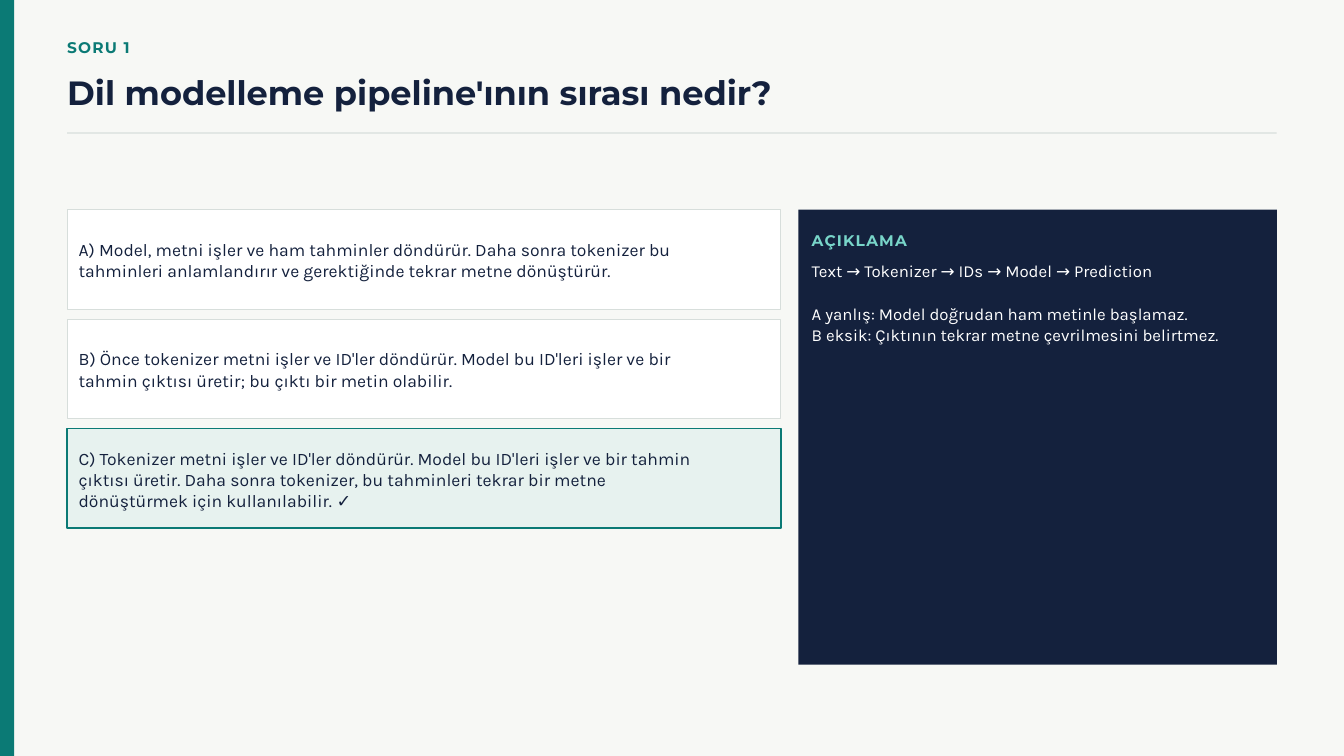
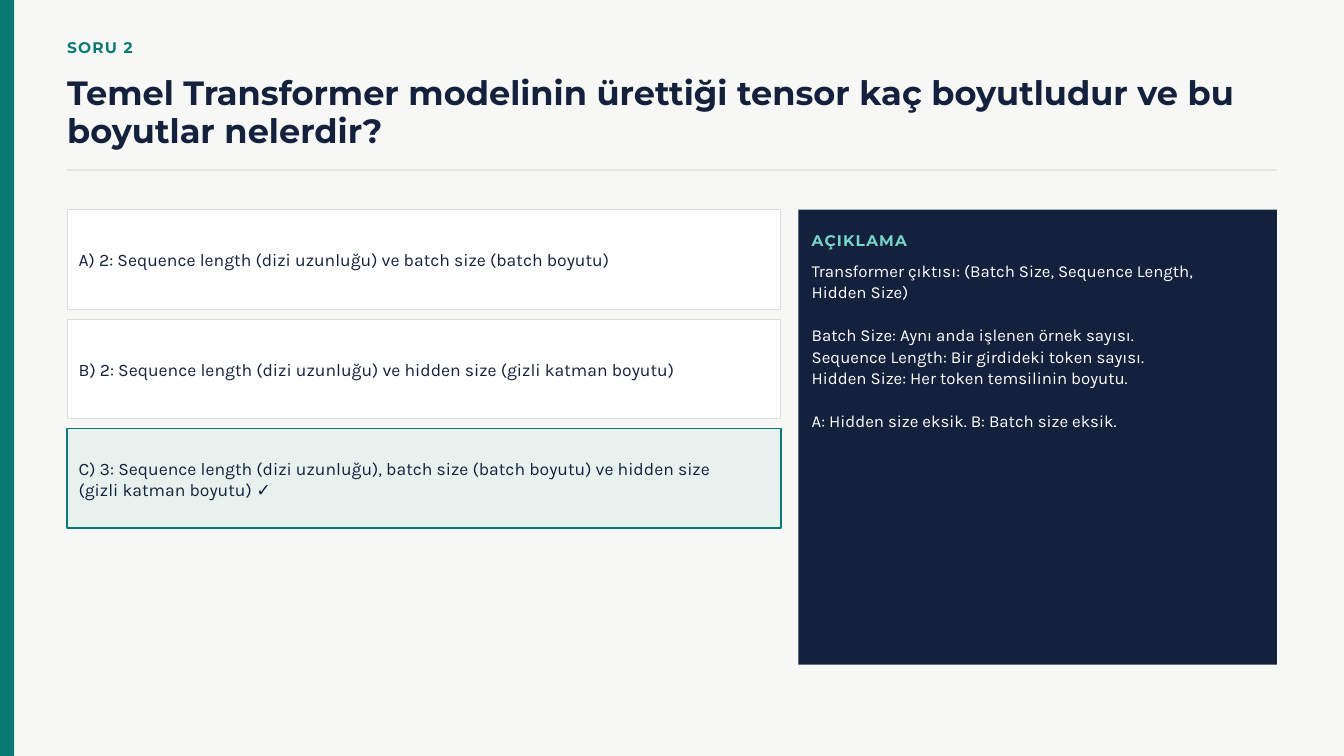
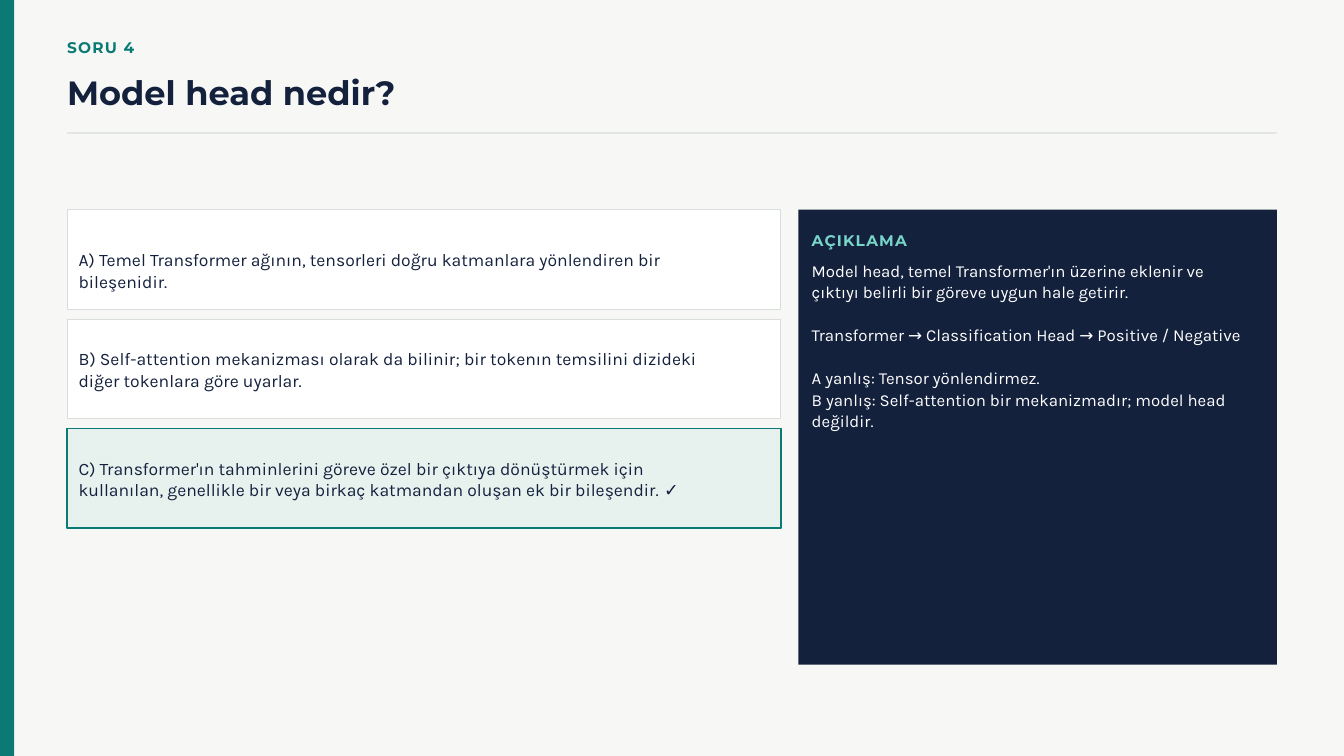
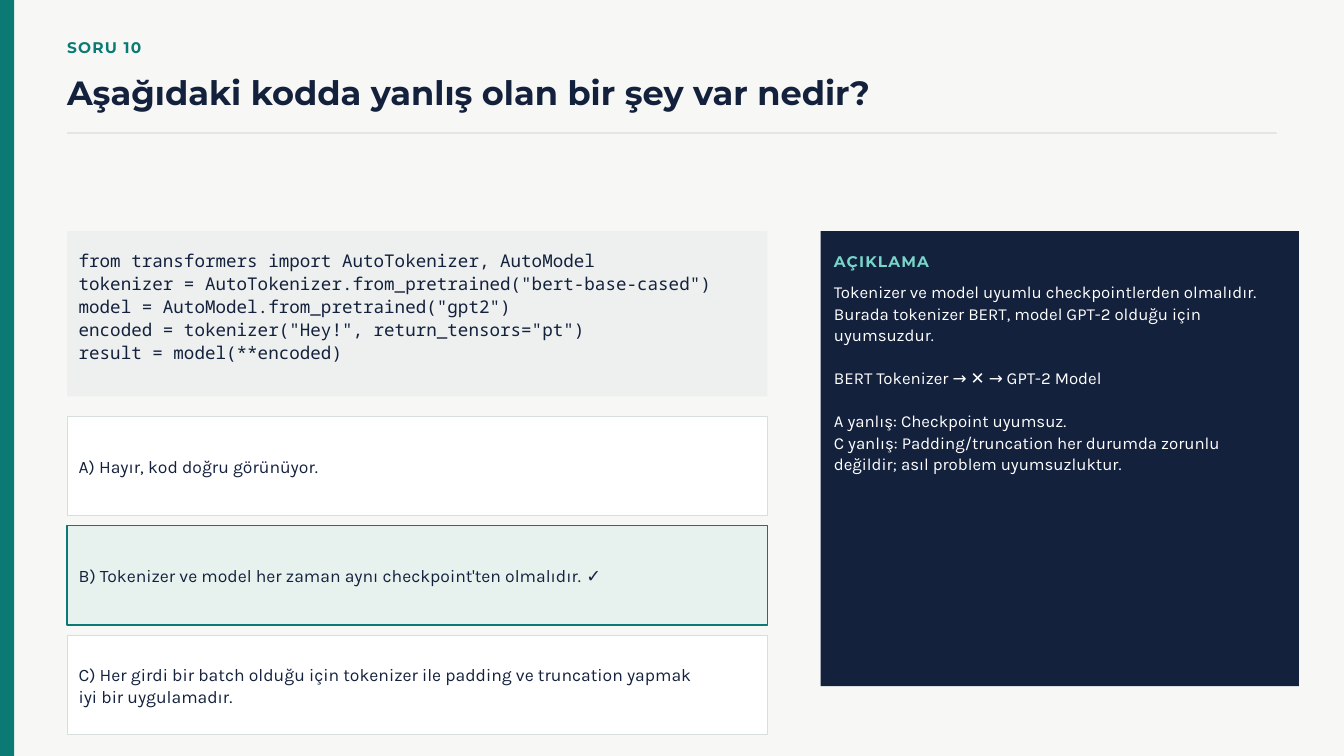
from pptx import Presentation
from pptx.dml.color import RGBColor
from pptx.enum.shapes import MSO_SHAPE
from pptx.enum.text import MSO_ANCHOR, MSO_AUTO_SIZE
from pptx.util import Inches, Pt

RECTANGLE = MSO_SHAPE.RECTANGLE
TOP = MSO_ANCHOR.TOP
GROW = MSO_AUTO_SIZE.SHAPE_TO_FIT_TEXT

COLORS = {
    "paper": "F7F8F5",
    "teal": "0B7A75",
    "navy": "14213D",
    "rule": "D7DEDB",
    "white": "FFFFFF",
    "correct": "E7F2EF",
    "code": "EDF0EE",
    "mint": "78D5C9",
}
HEADING_FONT = "Montserrat"
BODY_FONT = "Karla"
CODE_FONT = "Noto Sans Mono"

LEFT = 1
OPTION_HEIGHT = 1.48
OPTION_STEP = 1.63
LINE_HEIGHT = 0.31
LABEL = {"font": HEADING_FONT, "size": 16.5, "leading": 23.1, "bold": True, "spacing": 1.3}

QUESTIONS = [
    {
        "number": 1,
        "title": "Dil modelleme pipeline'ının sırası nedir?",
        "title_lines": 1,
        "options": [
            ("A) Model, metni işler ve ham tahminler döndürür. Daha sonra tokenizer bu "
             "tahminleri anlamlandırır ve gerektiğinde tekrar metne dönüştürür.", 2),
            ("B) Önce tokenizer metni işler ve ID'ler döndürür. Model bu ID'leri işler ve bir "
             "tahmin çıktısı üretir; bu çıktı bir metin olabilir.", 2),
            ("C) Tokenizer metni işler ve ID'ler döndürür. Model bu ID'leri işler ve bir tahmin "
             "çıktısı üretir. Daha sonra tokenizer, bu tahminleri tekrar bir metne dönüştürmek "
             "için kullanılabilir. ✓", 3),
        ],
        "explanation": "Text → Tokenizer → IDs → Model → Prediction\n\n"
                       "A yanlış: Model doğrudan ham metinle başlamaz.\n"
                       "B eksik: Çıktının tekrar metne çevrilmesini belirtmez.",
        "explanation_lines": 4,
    },
    {
        "number": 2,
        "title": "Temel Transformer modelinin ürettiği tensor kaç boyutludur ve bu boyutlar nelerdir?",
        "title_lines": 2,
        "options": [
            ("A) 2: Sequence length (dizi uzunluğu) ve batch size (batch boyutu)", 1),
            ("B) 2: Sequence length (dizi uzunluğu) ve hidden size (gizli katman boyutu)", 1),
            ("C) 3: Sequence length (dizi uzunluğu), batch size (batch boyutu) ve hidden size "
             "(gizli katman boyutu) ✓", 2),
        ],
        "explanation": "Transformer çıktısı: (Batch Size, Sequence Length, Hidden Size)\n\n"
                       "Batch Size: Aynı anda işlenen örnek sayısı.\n"
                       "Sequence Length: Bir girdideki token sayısı.\n"
                       "Hidden Size: Her token temsilinin boyutu.\n\n"
                       "A: Hidden size eksik. B: Batch size eksik.",
        "explanation_lines": 8,
    },
    {
        "number": 4,
        "title": "Model head nedir?",
        "title_lines": 1,
        "options": [
            ("A) Temel Transformer ağının, tensorleri doğru katmanlara yönlendiren bir "
             "bileşenidir.", 1),
            ("B) Self-attention mekanizması olarak da bilinir; bir tokenın temsilini dizideki "
             "diğer tokenlara göre uyarlar.", 2),
            ("C) Transformer'ın tahminlerini göreve özel bir çıktıya dönüştürmek için "
             "kullanılan, genellikle bir veya birkaç katmandan oluşan ek bir bileşendir. ✓", 2),
        ],
        "explanation": "Model head, temel Transformer'ın üzerine eklenir ve çıktıyı belirli bir "
                       "göreve uygun hale getirir.\n\n"
                       "Transformer → Classification Head → Positive / Negative\n\n"
                       "A yanlış: Tensor yönlendirmez.\n"
                       "B yanlış: Self-attention bir mekanizmadır; model head değildir.",
        "explanation_lines": 8,
    },
    {
        "number": 10,
        "title": "Aşağıdaki kodda yanlış olan bir şey var nedir?",
        "title_lines": 1,
        "code": 'from transformers import AutoTokenizer, AutoModel\n'
                'tokenizer = AutoTokenizer.from_pretrained("bert-base-cased")\n'
                'model = AutoModel.from_pretrained("gpt2")\n'
                'encoded = tokenizer("Hey!", return_tensors="pt")\n'
                'result = model(**encoded)',
        "options": [
            ("A) Hayır, kod doğru görünüyor.", 1),
            ("B) Tokenizer ve model her zaman aynı checkpoint'ten olmalıdır. ✓", 1),
            ("C) Her girdi bir batch olduğu için tokenizer ile padding ve truncation yapmak "
             "iyi bir uygulamadır.", 2),
        ],
        "explanation": "Tokenizer ve model uyumlu checkpointlerden olmalıdır. Burada tokenizer "
                       "BERT, model GPT-2 olduğu için uyumsuzdur.\n\n"
                       "BERT Tokenizer → ✕ → GPT-2 Model\n\n"
                       "A yanlış: Checkpoint uyumsuz.\n"
                       "C yanlış: Padding/truncation her durumda zorunlu değildir; asıl problem "
                       "uyumsuzluktur.",
        "explanation_lines": 9,
    },
]


def add_panel(page, left, top, width, height, fill, line=None, weight=0.75):
    panel = page.shapes.add_shape(
        RECTANGLE, Inches(left), Inches(top), Inches(width), Inches(height))
    panel.shadow.inherit = False
    panel.fill.solid()
    panel.fill.fore_color.rgb = RGBColor.from_string(COLORS[fill])
    if line:
        panel.line.color.rgb = RGBColor.from_string(COLORS[line])
        panel.line.width = Pt(weight)
    else:
        panel.line.fill.background()


def add_text(page, text, left, top, width, height, *, size, leading, color="navy",
             font=BODY_FONT, bold=False, spacing=0):
    box = page.shapes.add_textbox(Inches(left), Inches(top), Inches(width), Inches(height))
    frame = box.text_frame
    frame.margin_left = frame.margin_top = frame.margin_right = frame.margin_bottom = 0
    frame.word_wrap = True
    frame.auto_size = GROW
    frame.vertical_anchor = TOP
    para = frame.paragraphs[0]
    for section_index, section in enumerate(text.split("\n\n")):
        for line_index, line in enumerate(section.split("\n")):
            if section_index or line_index:
                para = frame.add_paragraph()
            para.line_spacing = Pt(leading)
            if section_index and not line_index:
                para.space_before = Pt(leading)
            span = para.add_run()
            span.text = line
            span.font.name = font
            span.font.size = Pt(size)
            span.font.bold = bold
            span.font.color.rgb = RGBColor.from_string(COLORS[color])
            if spacing:
                span._r.get_or_add_rPr().set("spc", str(int(spacing * 100)))


deck = Presentation()
deck.slide_width = Inches(20)
deck.slide_height = Inches(11.25)
blank = deck.slide_layouts[6]

for question in QUESTIONS:
    page = deck.slides.add_slide(blank)
    page.background.fill.solid()
    page.background.fill.fore_color.rgb = RGBColor.from_string(COLORS["paper"])

    add_panel(page, 0, 0, 0.21, 11.25, "teal")
    add_text(page, f"SORU {question['number']}", LEFT, 0.52, 6.25, 0.31, color="teal", **LABEL)
    title_height = 0.55 * question["title_lines"]
    add_text(page, question["title"], LEFT, 1.11, 18, title_height,
             size=36, leading=40.3, font=HEADING_FONT, bold=True)
    add_panel(page, LEFT, 1.42 + title_height, 18, 0.02, "rule")

    if "code" in question:
        content_top, options_top = 3.44, 6.19
        option_width, text_width, explanation_left = 10.42, 9.33, 12.21
        add_panel(page, LEFT, content_top, option_width, 2.46, "code")
        add_text(page, question["code"], LEFT + 0.17, content_top + 0.26, 10, 1.65,
                 size=18.8, leading=24.4, font=CODE_FONT)
    else:
        content_top = options_top = 3.12
        option_width, text_width, explanation_left = 10.62, 9.54, 11.88

    for index, (option, lines) in enumerate(question["options"]):
        option_top = options_top + index * OPTION_STEP
        if option.endswith("✓"):
            add_panel(page, LEFT, option_top, option_width, OPTION_HEIGHT, "correct", "teal", 1.5)
        else:
            add_panel(page, LEFT, option_top, option_width, OPTION_HEIGHT, "white", "rule")
        text_height = lines * LINE_HEIGHT
        add_text(page, option, LEFT + 0.17, option_top + (OPTION_HEIGHT - text_height) / 2,
                 text_width, text_height, size=18.8, leading=22.9)

    add_panel(page, explanation_left, content_top, 7.12, 6.77, "navy")
    add_text(page, "AÇIKLAMA", explanation_left + 0.2, content_top + 0.27, 6.46, 0.3,
             color="mint", **LABEL)
    add_text(page, question["explanation"], explanation_left + 0.2, content_top + 0.74,
             6.46, question["explanation_lines"] * LINE_HEIGHT,
             size=18, leading=23, color="white")

deck.save("out.pptx")
